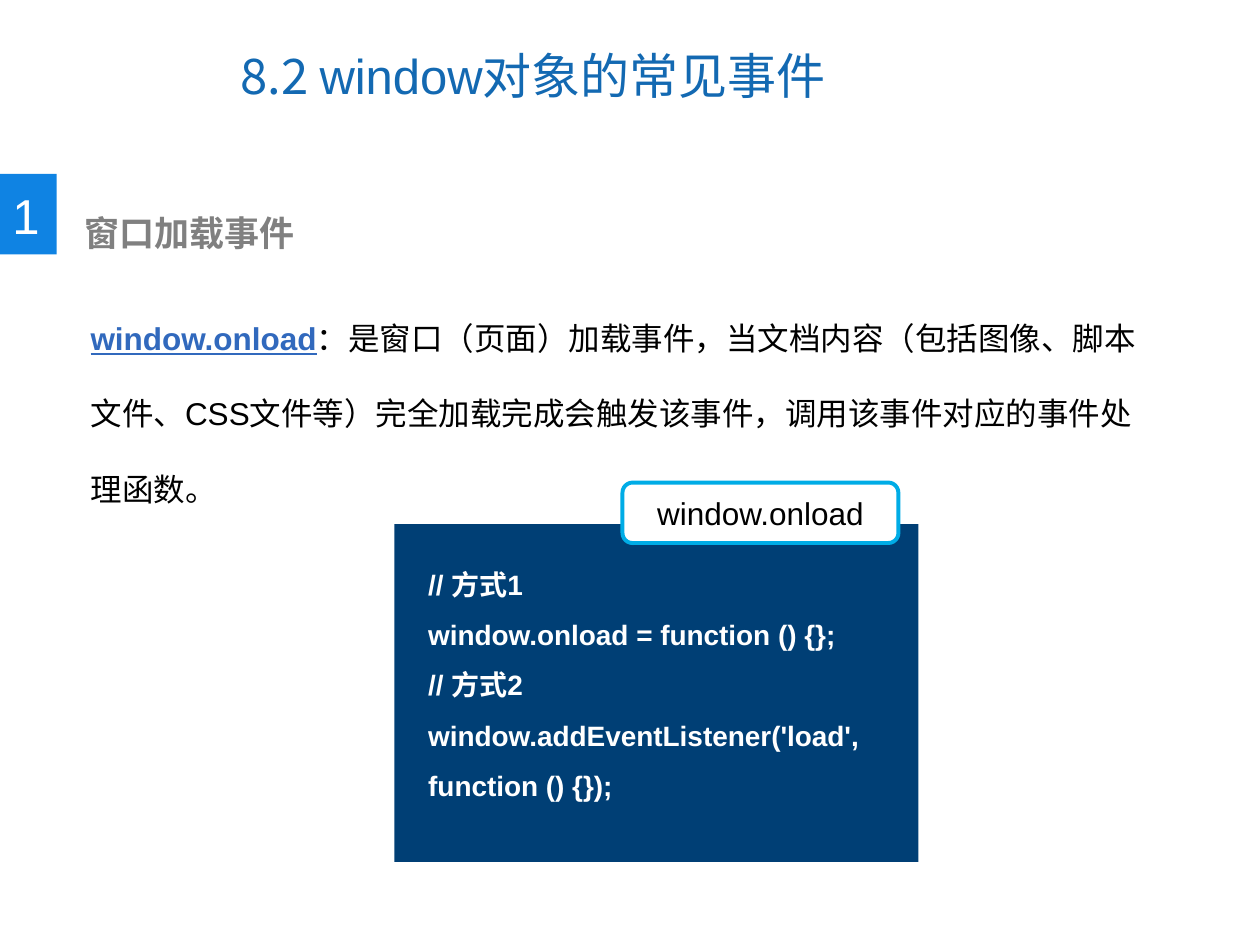
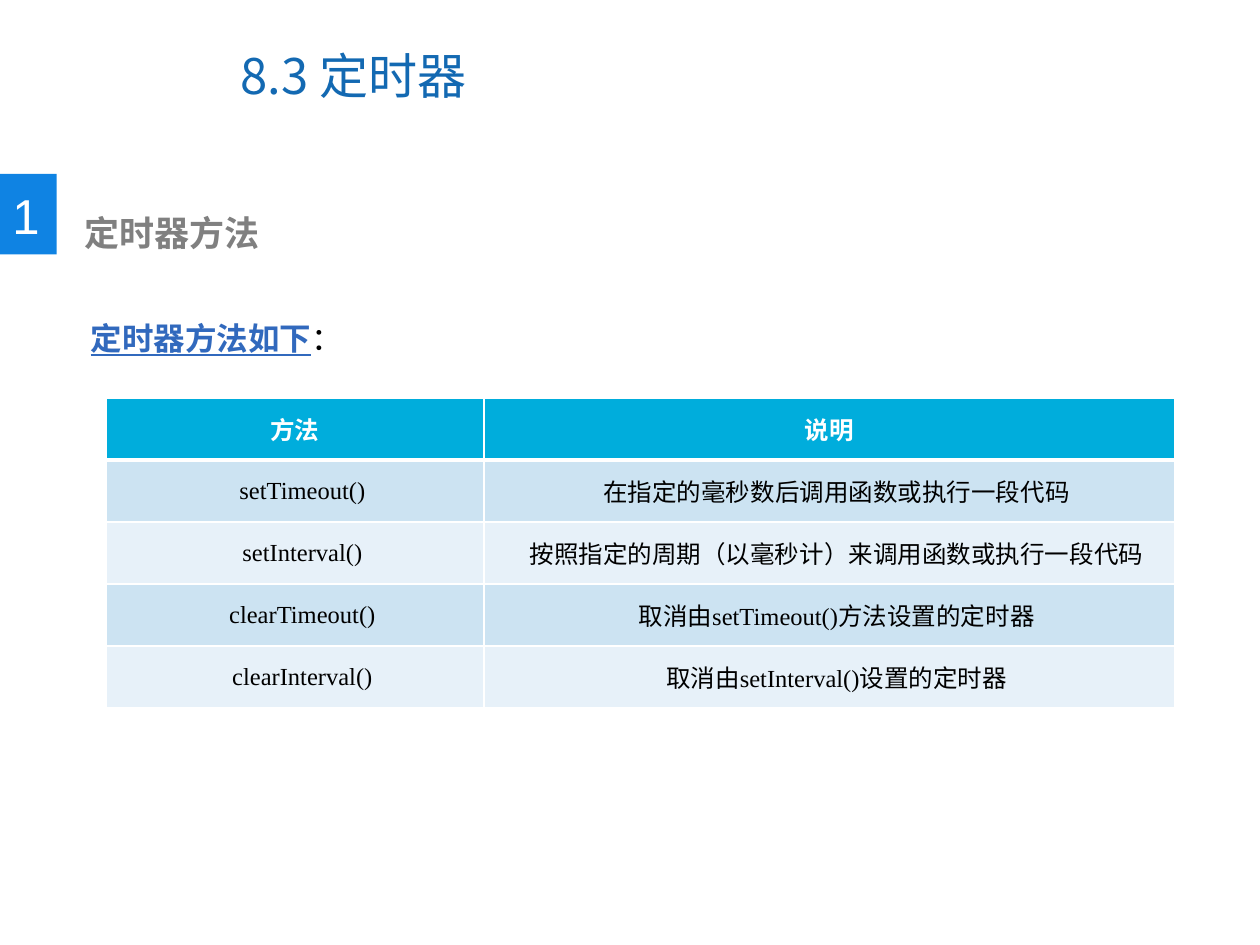
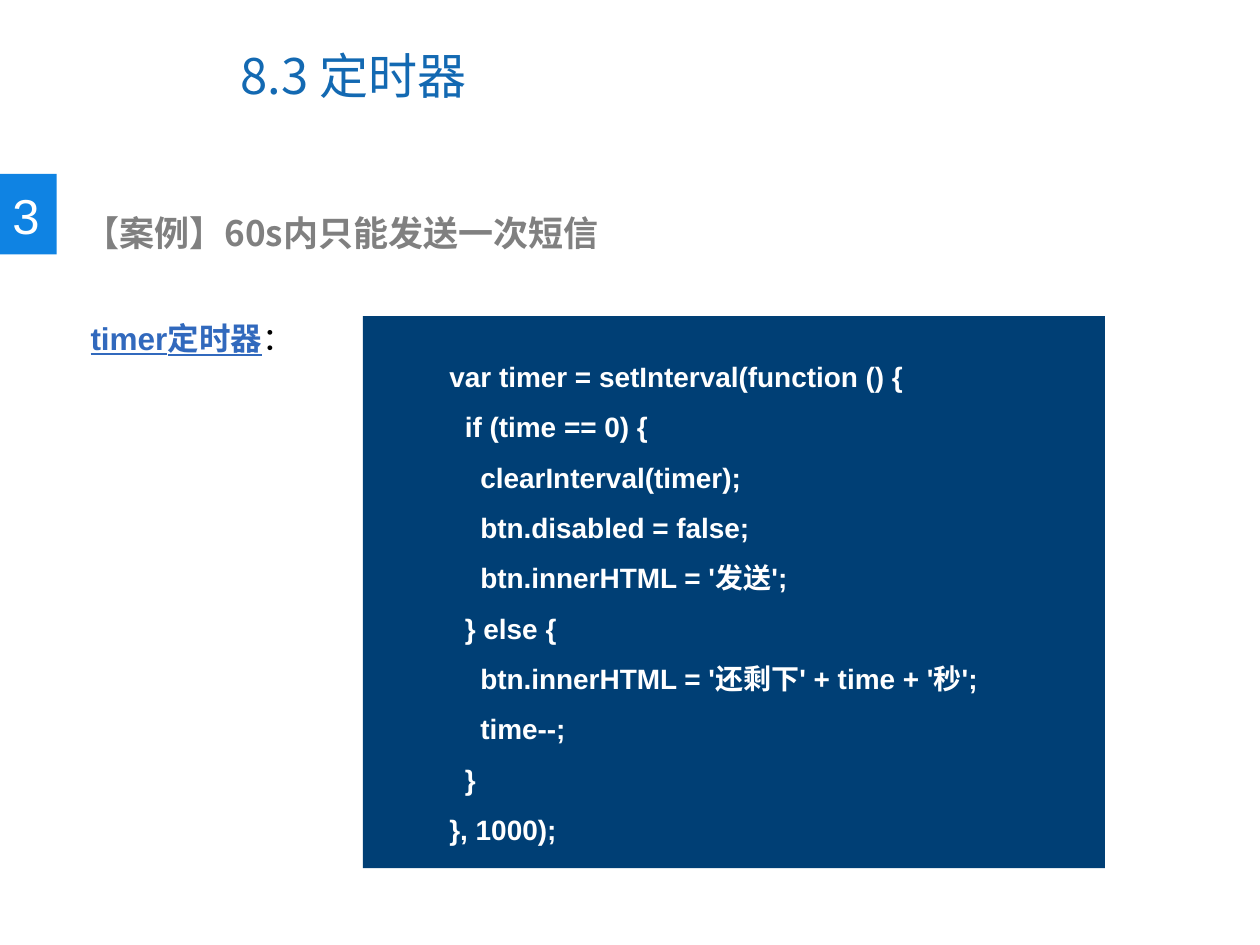
from dataclasses import dataclass, replace

from lxml import etree
from pptx import Presentation
from pptx import util as u
from pptx.dml.color import RGBColor
from pptx.enum import shapes, text
from pptx.oxml import ns

COLUMNS, ROWS = 100, 75


@dataclass(frozen=True)
class Style:
    size: int
    color: str
    font: str = "Arial"
    bold: bool = False
    underline: bool = False


@dataclass(frozen=True)
class Theme:
    cjk_font: str = "Noto Sans CJK SC"
    white: str = "FFFFFF"
    badge: str = "0F83E3"
    panel: str = "003F75"
    tag_line: str = "00ACE6"
    header_fill: str = "00ADDC"
    band_fills: tuple = ("CCE3F2", "E7F1F9")
    title: Style = Style(28, "1369B2", "Noto Sans CJK SC")
    number: Style = Style(28, "FFFFFF")
    heading: Style = Style(20, "808080", "Noto Sans CJK SC", bold=True)
    body: Style = Style(18, "000000")
    term: Style = Style(18, "3169BD", bold=True, underline=True)
    code: Style = Style(16, "FFFFFF", bold=True)
    table_head: Style = Style(14, "FFFFFF", "Times New Roman", bold=True)
    table_body: Style = Style(14, "000000", "Times New Roman")


class Deck:
    def __init__(self, theme):
        self.theme = theme
        self.prs = Presentation()
        self.prs.slide_width, self.prs.slide_height = u.Inches(10), u.Inches(7.5)
        self.slide = None

    def place(self, left, top, width, height):
        """Turn grid columns and rows into slide lengths."""
        column = self.prs.slide_width / COLUMNS
        row = self.prs.slide_height / ROWS
        return [round(n * unit) for n, unit in
                zip((left, top, width, height), (column, row, column, row))]

    def format_run(self, run, style):
        font = run.font
        font.name, font.size = style.font, u.Pt(style.size)
        font.bold, font.underline = style.bold, style.underline
        font.color.rgb = RGBColor.from_string(style.color)
        east_asian = etree.SubElement(run._r.get_or_add_rPr(), ns.qn("a:ea"))
        east_asian.set("typeface", self.theme.cjk_font)

    def add_runs(self, paragraph, *parts):
        for words, style in parts:
            run = paragraph.add_run()
            run.text = words
            self.format_run(run, style)

    def open_slide(self, number, heading, *title_parts):
        """Start a slide with its title, numbered badge and section heading."""
        theme = self.theme
        self.slide = self.prs.slides.add_slide(self.prs.slide_layouts[5])
        title = self.slide.shapes.title
        title.left, title.top, title.width, title.height = self.place(18.1, 1.7, 51.6, 8.5)
        frame = title.text_frame
        frame.auto_size = text.MSO_AUTO_SIZE.NONE
        frame.vertical_anchor = text.MSO_ANCHOR.MIDDLE
        frame.paragraphs[0].alignment = text.PP_ALIGN.LEFT
        self.add_runs(frame.paragraphs[0], *title_parts)
        self.box((0, 13.8, 4.5, 6.4), theme.badge)
        self.label((0, 14.2, 4.2, 5.7), [[(number, theme.number)]], wrap=False)
        self.label((5.7, 16.3, 50.4, 4.4), [[(heading, theme.heading)]])

    def box(self, area, fill, outline=None, kind=shapes.MSO_SHAPE.RECTANGLE):
        shape = self.slide.shapes.add_shape(kind, *self.place(*area))
        shape.shadow.inherit = False
        shape.fill.solid()
        shape.fill.fore_color.rgb = RGBColor.from_string(fill)
        if outline:
            shape.line.color.rgb = RGBColor.from_string(outline)
            shape.line.width = u.Pt(2.25)
        else:
            shape.line.fill.background()
        return shape

    def label(self, area, paragraphs, spacing=1.0, wrap=True):
        """Add a text box; each paragraph is a list of (words, style)."""
        frame = self.slide.shapes.add_textbox(*self.place(*area)).text_frame
        frame.word_wrap = wrap
        for i, parts in enumerate(paragraphs):
            paragraph = frame.add_paragraph() if i else frame.paragraphs[0]
            paragraph.line_spacing = spacing
            self.add_runs(paragraph, *parts)

    def explain(self, term, rest, height):
        self.label((6.2, 21.8, 86.5, height),
                   [[(term, self.theme.term), (rest, self.theme.body)]], spacing=2.0)

    def code(self, panel_area, listing_area, listing):
        self.box(panel_area, self.theme.panel)
        self.label(listing_area,
                   [[(line, self.theme.code)] for line in listing.splitlines()], spacing=1.5)

    def tag(self, area, words):
        shape = self.box(area, self.theme.white, self.theme.tag_line,
                         shapes.MSO_SHAPE.ROUNDED_RECTANGLE)
        frame = shape.text_frame
        frame.vertical_anchor = text.MSO_ANCHOR.MIDDLE
        frame.paragraphs[0].alignment = text.PP_ALIGN.CENTER
        self.add_runs(frame.paragraphs[0], (words, self.theme.body))

    def border(self, cell, side, points):
        line = etree.SubElement(cell._tc.get_or_add_tcPr(), ns.qn(f"a:ln{side}"))
        line.set("w", str(u.Pt(points)))
        fill = etree.SubElement(line, ns.qn("a:solidFill"))
        etree.SubElement(fill, ns.qn("a:srgbClr")).set("val", self.theme.white)

    def table(self, area, column_widths, rows):
        theme = self.theme
        grid = self.slide.shapes.add_table(
            len(rows), len(column_widths), *self.place(*area)).table
        for column, width in zip(grid.columns, column_widths):
            column.width = self.place(width, 0, 0, 0)[0]
        for r, row in enumerate(rows):
            fill = theme.band_fills[(r - 1) % 2] if r else theme.header_fill
            for c, words in enumerate(row):
                cell = grid.cell(r, c)
                cell.margin_left = cell.margin_right = u.Inches(0.08)
                cell.margin_top = cell.margin_bottom = 0
                cell.vertical_anchor = text.MSO_ANCHOR.MIDDLE
                for side in "LRTB":
                    under_header = (r, side) in ((0, "B"), (1, "T"))
                    self.border(cell, side, 3 if under_header else 1)
                cell.fill.solid()
                cell.fill.fore_color.rgb = RGBColor.from_string(fill)
                paragraph = cell.text_frame.paragraphs[0]
                paragraph.alignment = text.PP_ALIGN.CENTER
                if r:
                    indent = paragraph._p.get_or_add_pPr()
                    indent.set("marL", str(u.Inches(0.12)))
                    indent.set("indent", "0")
                self.add_runs(paragraph, (words, theme.table_body if r else theme.table_head))


LOAD_CODE = """\
// 方式1
window.onload = function () {};
// 方式2
window.addEventListener('load', function () {});"""

TIMER_CODE = """\
      var timer = setInterval(function () {
        if (time == 0) {
          clearInterval(timer);
          btn.disabled = false;
          btn.innerHTML = '发送';
        } else {
          btn.innerHTML = '还剩下' + time + '秒';
          time--;
        }
      }, 1000);"""

TIMER_METHODS = [
    ("方法", "说明"),
    ("setTimeout()", "在指定的毫秒数后调用函数或执行一段代码"),
    ("setInterval()", "按照指定的周期（以毫秒计）来调用函数或执行一段代码"),
    ("clearTimeout()", "取消由setTimeout()方法设置的定时器"),
    ("clearInterval()", "取消由setInterval()设置的定时器"),
]


def main():
    theme = Theme()
    deck = Deck(theme)
    timer_title = ("8.3 定时器", theme.title)

    deck.open_slide("1", "窗口加载事件", ("8.2 ", theme.title),
                    ("window", replace(theme.title, font="Arial")),
                    ("对象的常见事件", theme.title))
    deck.explain("window.onload",
                 "：是窗口（页面）加载事件，当文档内容（包括图像、脚本文件、CSS文件等）"
                 "完全加载完成会触发该事件，调用该事件对应的事件处理函数。", 18.2)
    deck.code((31.3, 41.6, 41.6, 26.8), (33, 43.2, 42.9, 20.7), LOAD_CODE)
    deck.tag((49.4, 38.3, 21.9, 4.8), "window.onload")

    deck.open_slide("1", "定时器方法", timer_title)
    deck.explain("定时器方法如下", "：", 7.1)
    deck.table((8.4, 31.6, 84.8, 24.6), (30, 54.8), TIMER_METHODS)

    deck.open_slide("3", "【案例】60s内只能发送一次短信", timer_title)
    deck.explain("timer定时器", "：", 6.1)
    deck.code((28.8, 25.1, 58.9, 43.8), (31, 26.7, 57.8, 42.2), TIMER_CODE)

    deck.prs.save("out.pptx")


if __name__ == "__main__":
    main()
